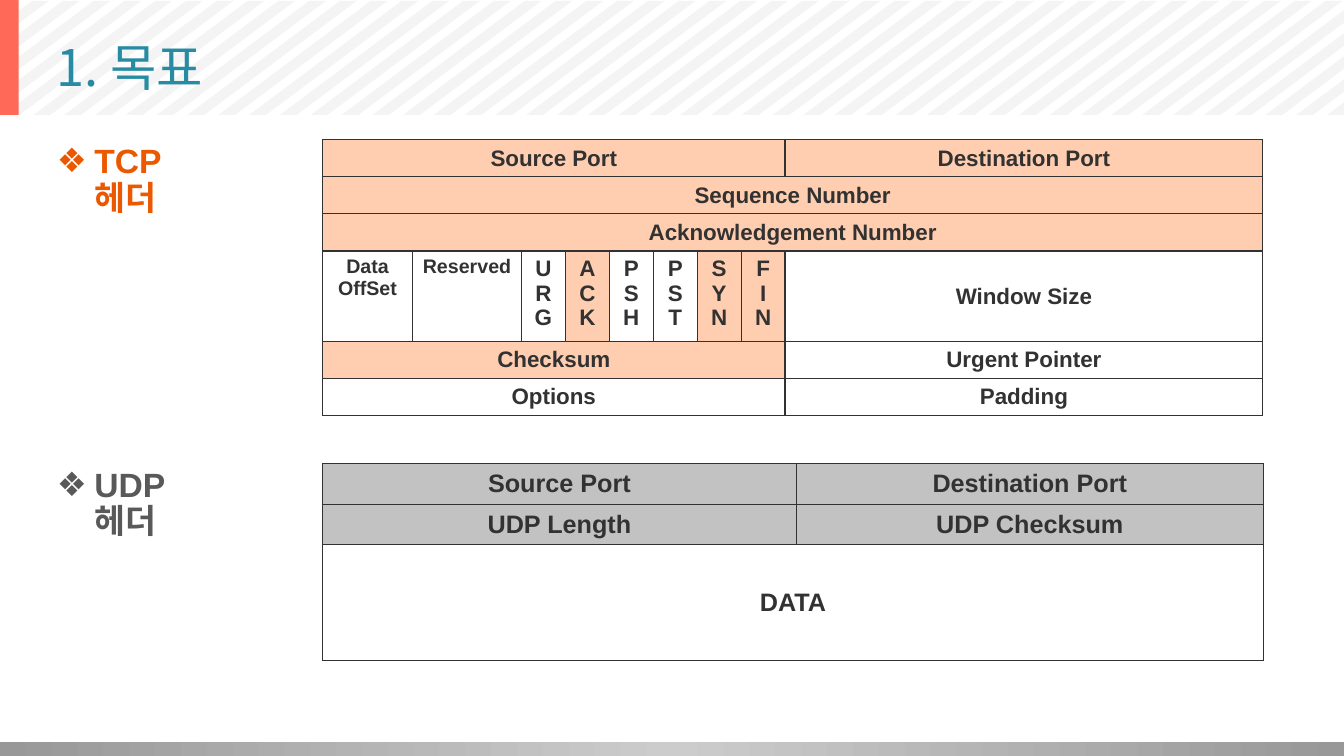
from dataclasses import dataclass
from itertools import accumulate

from lxml import etree
from pptx import Presentation
from pptx.dml.color import RGBColor
from pptx.enum.shapes import MSO_SHAPE
from pptx.enum.text import MSO_ANCHOR, PP_ALIGN
from pptx.oxml import parse_xml
from pptx.oxml.ns import nsdecls, qn
from pptx.util import Inches, Pt

RECT = MSO_SHAPE.RECTANGLE
TOP, MIDDLE = MSO_ANCHOR.TOP, MSO_ANCHOR.MIDDLE
CENTER = PP_ALIGN.CENTER

WHITE = RGBColor(0xFF, 0xFF, 0xFF)
STRIPE = RGBColor(0xEB, 0xEB, 0xEB)
CORAL = RGBColor(0xFF, 0x69, 0x57)
TEAL = RGBColor(0x26, 0x8B, 0xA3)
ORANGE = RGBColor(0xEB, 0x58, 0x00)
GRAY = RGBColor(0x59, 0x59, 0x59)
INK = RGBColor(0x32, 0x32, 0x32)
PEACH = RGBColor(0xFF, 0xCE, 0xB0)
SILVER = RGBColor(0xC2, 0xC2, 0xC2)
STEEL = RGBColor(0x98, 0x98, 0x98)
PALE = RGBColor(0xCC, 0xCC, 0xCC)

LATIN, HANGUL = "Arial", "Noto Sans CJK KR"
WIDTH, HEIGHT = Inches(13.33), Inches(7.5)

# Shares of the slide, in percent
LEFT, GRID_X = 3.5, 24
TCP_Y, UDP_Y = 18.5, 61.33
BAND_TOP, BAND_END = 0.13, 15.2
STRIPES, FIRST, STEP = 49, -11.25, 110 / 48
THICK, RUN = 1.24, 11.33


@dataclass(frozen=True)
class Field:
    text: str
    fill: RGBColor = WHITE
    span: int = 1
    anchor: MSO_ANCHOR = MIDDLE
    size: int = 16


@dataclass(frozen=True)
class Header:
    label: str
    color: RGBColor
    top: float
    cols: list[float]
    rows: list[float]
    fields: list[list[Field]]


def flag(name: str, fill: RGBColor = WHITE) -> Field:
    """One-bit field whose letters run downwards."""
    return Field("\n".join(name), fill, anchor=TOP)


HEADERS = [
    Header("TCP 헤더", ORANGE, TCP_Y, [6.7, 8.1] + [3.27] * 6 + [35.55],
           [4.9, 4.9, 4.9, 12, 4.9, 4.9], [
        [Field("Source Port", PEACH, 8), Field("Destination Port", PEACH)],
        [Field("Sequence Number", PEACH, 9)],
        [Field("Acknowledgement Number", PEACH, 9)],
        [Field("Data\nOffSet", anchor=TOP, size=14),
         Field("Reserved", anchor=TOP, size=14),
         flag("URG"), flag("ACK", PEACH), flag("PSH"), flag("PST"),
         flag("SYN", PEACH), flag("FIN", PEACH), Field("Window Size")],
        [Field("Checksum", PEACH, 8), Field("Urgent Pointer")],
        [Field("Options", span=8), Field("Padding")],
    ]),
    Header("UDP 헤더", GRAY, UDP_Y, [35.25, 34.75], [5.37, 5.37, 15.3], [
        [Field("Source Port", SILVER, size=18),
         Field("Destination Port", SILVER, size=18)],
        [Field("UDP Length", SILVER, size=18),
         Field("UDP Checksum", SILVER, size=18)],
        [Field("DATA", span=2, size=18)],
    ]),
]


def wide(share: float) -> int:
    return round(WIDTH * share / 100)


def high(share: float) -> int:
    return round(HEIGHT * share / 100)


def area(x: float, y: float, w: float, h: float) -> tuple[int, ...]:
    return wide(x), high(y), wide(w), high(h)


def paint(shape, color: RGBColor) -> None:
    shape.shadow.inherit = False
    shape.fill.solid()
    shape.fill.fore_color.rgb = color
    shape.line.fill.background()


def edge(base: float) -> list[tuple[int, int]]:
    """Ends of a slanted line, clipped to the sides of the slide."""
    ends = []
    for x in (base, base + RUN):
        kept = min(max(x, 0), 100)
        rise = (kept - base) / RUN
        y = BAND_END - rise * (BAND_END - BAND_TOP)
        ends.append((wide(kept), high(y)))
    return ends


def add_band(shapes) -> None:
    for i in range(STRIPES):
        base = FIRST + i * STEP
        start, *rest = edge(base) + edge(base + THICK)[::-1]
        pen = shapes.build_freeform(*start)
        pen.add_line_segments(rest)
        stripe = pen.convert_to_shape()
        paint(stripe, STRIPE)
        tint = next(stripe.element.iter(qn("a:srgbClr")))
        etree.SubElement(tint, qn("a:alpha"), val="52000")
    paint(shapes.add_shape(RECT, *area(0, 0, 1.4, BAND_END)), CORAL)


def add_foot(shapes) -> None:
    foot = shapes.add_shape(RECT, *area(0, 98.13, 100, 1.87))
    paint(foot, STEEL)
    foot.fill.gradient()
    foot.fill.gradient_angle = 0
    stops = foot.element.spPr.find(qn("a:gradFill")).find(qn("a:gsLst"))
    for stop in list(stops):
        stops.remove(stop)
    for spot, color in ((0, STEEL), (50, PALE), (100, STEEL)):
        stop = etree.SubElement(stops, qn("a:gs"), pos=str(spot * 1000))
        etree.SubElement(stop, qn("a:srgbClr"), val=str(color))


def style(para, size: int, color: RGBColor, face: str, bold: bool) -> None:
    font = para.font
    font.size, font.name, font.bold = Pt(size), face, bold
    font.color.rgb = color
    for run in para.runs:
        props = run._r.get_or_add_rPr()
        etree.SubElement(props, qn("a:ea"), typeface=HANGUL)


def add_text(shapes, text: str, box: tuple[int, ...]):
    frame = shapes.add_textbox(*box).text_frame
    frame.word_wrap = True
    frame.text = text
    return frame


def add_title(shapes) -> None:
    frame = add_text(shapes, "1. 목표", area(LEFT, 1.87, 92.7, 13.73))
    frame.vertical_anchor = MIDDLE
    style(frame.paragraphs[0], 36, TEAL, HANGUL, False)


def add_label(shapes, header: Header) -> None:
    frame = add_text(shapes, header.label, area(LEFT, header.top, 15.1, 6.7))
    frame.margin_right = wide(3)
    para = frame.paragraphs[0]
    para.line_spacing = 0.9
    props = para._p.get_or_add_pPr()
    props.set("marL", str(Inches(0.37)))
    props.set("indent", str(-Inches(0.37)))
    etree.SubElement(props, qn("a:buFont"), typeface=LATIN)
    etree.SubElement(props, qn("a:buChar"), char="❖")
    style(para, 24, header.color, LATIN, True)


def rule(cell) -> None:
    """Give a cell a thin dark border on all sides."""
    props = cell._tc.get_or_add_tcPr()
    for side in "LRTB":
        props.append(parse_xml(
            f'<a:ln{side} {nsdecls("a")} w="12700"><a:solidFill>'
            f'<a:srgbClr val="{INK}"/></a:solidFill></a:ln{side}>'))


def fill_cell(cell, field: Field) -> None:
    cell.text = field.text
    cell.vertical_anchor = field.anchor
    cell.margin_left = cell.margin_right = Inches(0.05)
    for para in cell.text_frame.paragraphs:
        para.alignment = CENTER
        style(para, field.size, INK, LATIN, True)


def add_grid(shapes, header: Header) -> None:
    box = area(GRID_X, header.top, sum(header.cols), sum(header.rows))
    grid = shapes.add_table(len(header.rows), len(header.cols), *box).table
    grid.first_row = grid.horz_banding = False
    for col, share in zip(grid.columns, header.cols):
        col.width = wide(share)
    for row, share in zip(grid.rows, header.rows):
        row.height = high(share)
    for r, fields in enumerate(header.fields):
        starts = accumulate((field.span for field in fields), initial=0)
        for field, c in zip(fields, starts):
            last = c + field.span - 1
            if last > c:
                grid.cell(r, c).merge(grid.cell(r, last))
            for k in range(c, last + 1):
                cell = grid.cell(r, k)
                rule(cell)
                cell.fill.solid()
                cell.fill.fore_color.rgb = field.fill
            fill_cell(grid.cell(r, c), field)


def main() -> None:
    deck = Presentation()
    deck.slide_width, deck.slide_height = WIDTH, HEIGHT
    shapes = deck.slides.add_slide(deck.slide_layouts[6]).shapes
    add_band(shapes)
    add_foot(shapes)
    add_title(shapes)
    for header in HEADERS:
        add_label(shapes, header)
        add_grid(shapes, header)
    deck.save("out.pptx")


if __name__ == "__main__":
    main()
